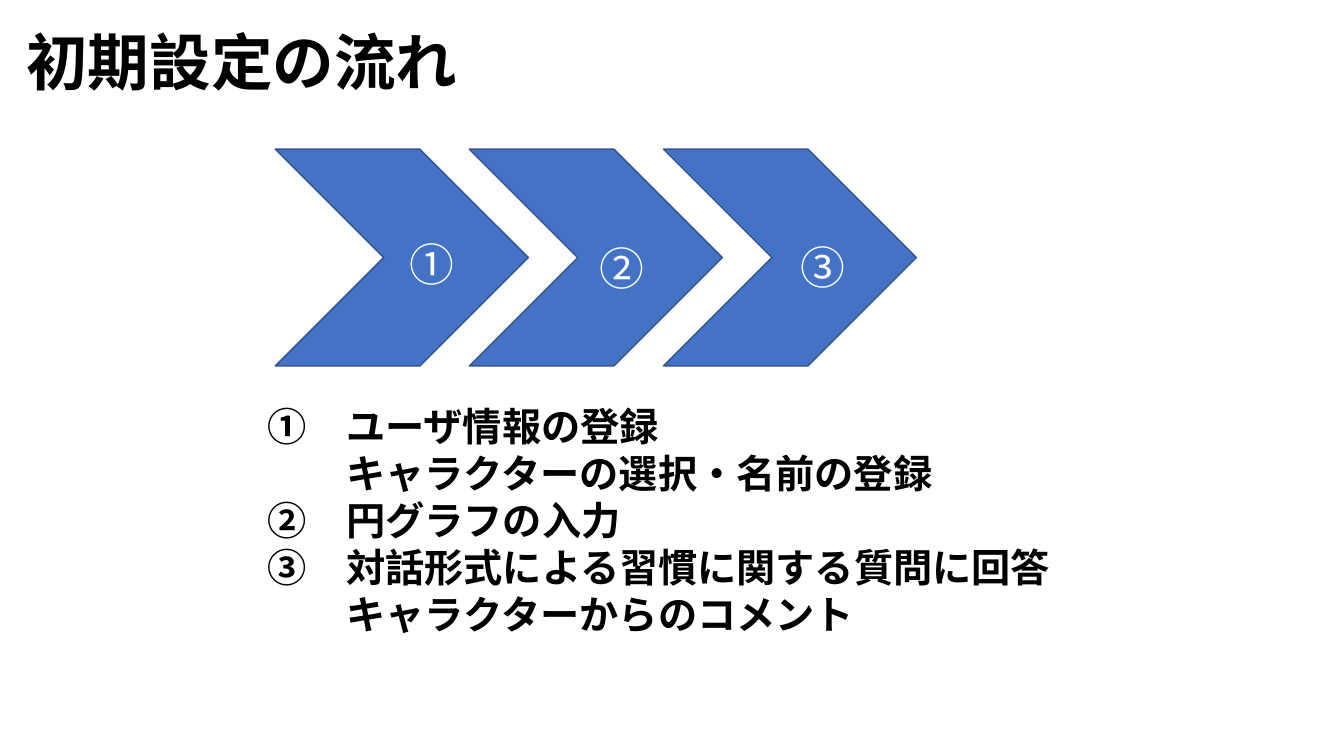
from dataclasses import dataclass

from lxml.etree import SubElement
from pptx import Presentation
from pptx.dml.color import RGBColor
from pptx.enum.shapes import MSO_SHAPE
from pptx.enum.text import MSO_ANCHOR, PP_ALIGN
from pptx.oxml.ns import qn
from pptx.util import Inches, Pt

# Content
TITLE = "初期設定の流れ"
# Each step: number, left and top of its number, lines of explanation
STEPS = [
    ("①", (3.96, 2.30), ["ユーザ情報の登録", "キャラクターの選択・名前の登録"]),
    ("②", (5.85, 2.34), ["円グラフの入力"]),
    ("③", (7.84, 2.33), ["対話形式による習慣に関する質問に回答", "キャラクターからのコメント"]),
]


@dataclass(frozen=True)
class Theme:
    font: str = "Noto Sans CJK JP"
    text: str = "000000"
    number: str = "FFFFFF"
    fill: str = "4472C4"
    outline: str = "325491"
    title_size: int = 44
    number_size: int = 32
    body_size: int = 28
    leading: float = 1.2


THEME = Theme()

# Layout in inches
TITLE_BOX = (0.16, -0.07, 11.5, 1.45)
EXPLANATION_BOX = (2.56, 3.94, 8.67, 2.46)
CHEVRON_LEFT, CHEVRON_TOP, CHEVRON_PITCH = 2.73, 1.48, 1.925
CHEVRON_SIZE = (2.51, 2.15)
NUMBER_SIZE = (0.7, 0.64)
HANGING = 2 * THEME.body_size  # two full-width characters, in points


def inches(*lengths):
    return [Inches(length) for length in lengths]


def write(paragraph, text, *, size, color=THEME.text, bold=False, spacing=None, indent=0):
    run = paragraph.add_run()
    run.text = text
    run.font.size = Pt(size)
    run.font.bold = bold
    run.font.name = THEME.font
    run.font.color.rgb = RGBColor.from_string(color)
    SubElement(run.font._element, qn("a:ea")).set("typeface", THEME.font)
    paragraph.alignment = PP_ALIGN.LEFT
    paragraph.line_spacing = spacing or Pt(size * THEME.leading)
    if indent:
        paragraph._p.get_or_add_pPr().set("marL", str(Pt(indent)))


def main():
    deck = Presentation()
    deck.slide_width, deck.slide_height = inches(13.33, 7.5)
    slide = deck.slides.add_slide(deck.slide_layouts[5])

    # Title
    title = slide.shapes.title
    title.left, title.top, title.width, title.height = inches(*TITLE_BOX)
    title.text_frame.vertical_anchor = MSO_ANCHOR.MIDDLE
    write(title.text_frame.paragraphs[0], TITLE, size=THEME.title_size, bold=True, spacing=0.9)

    # Chevrons, then their numbers on top
    flow = slide.shapes.add_group_shape()
    for column in range(len(STEPS)):
        left = CHEVRON_LEFT + column * CHEVRON_PITCH
        chevron = flow.shapes.add_shape(
            MSO_SHAPE.CHEVRON, *inches(left, CHEVRON_TOP, *CHEVRON_SIZE))
        chevron.shadow.inherit = False
        chevron.fill.solid()
        chevron.fill.fore_color.rgb = RGBColor.from_string(THEME.fill)
        chevron.line.color.rgb = RGBColor.from_string(THEME.outline)
        chevron.line.width = Pt(1)
    for number, corner, _ in STEPS:
        label = flow.shapes.add_textbox(*inches(*corner, *NUMBER_SIZE)).text_frame
        label.word_wrap = True
        write(label.paragraphs[0], number, size=THEME.number_size, color=THEME.number)

    # Explanation: further lines of a step align with its first
    explanation = slide.shapes.add_textbox(*inches(*EXPLANATION_BOX)).text_frame
    explanation.word_wrap = True
    lines = [(f"{number}　{line}", 0) if row == 0 else (line, HANGING)
             for number, _, details in STEPS for row, line in enumerate(details)]
    for row, (line, indent) in enumerate(lines):
        paragraph = explanation.add_paragraph() if row else explanation.paragraphs[0]
        write(paragraph, line, size=THEME.body_size, bold=True, indent=indent)

    deck.save("out.pptx")


if __name__ == "__main__":
    main()
